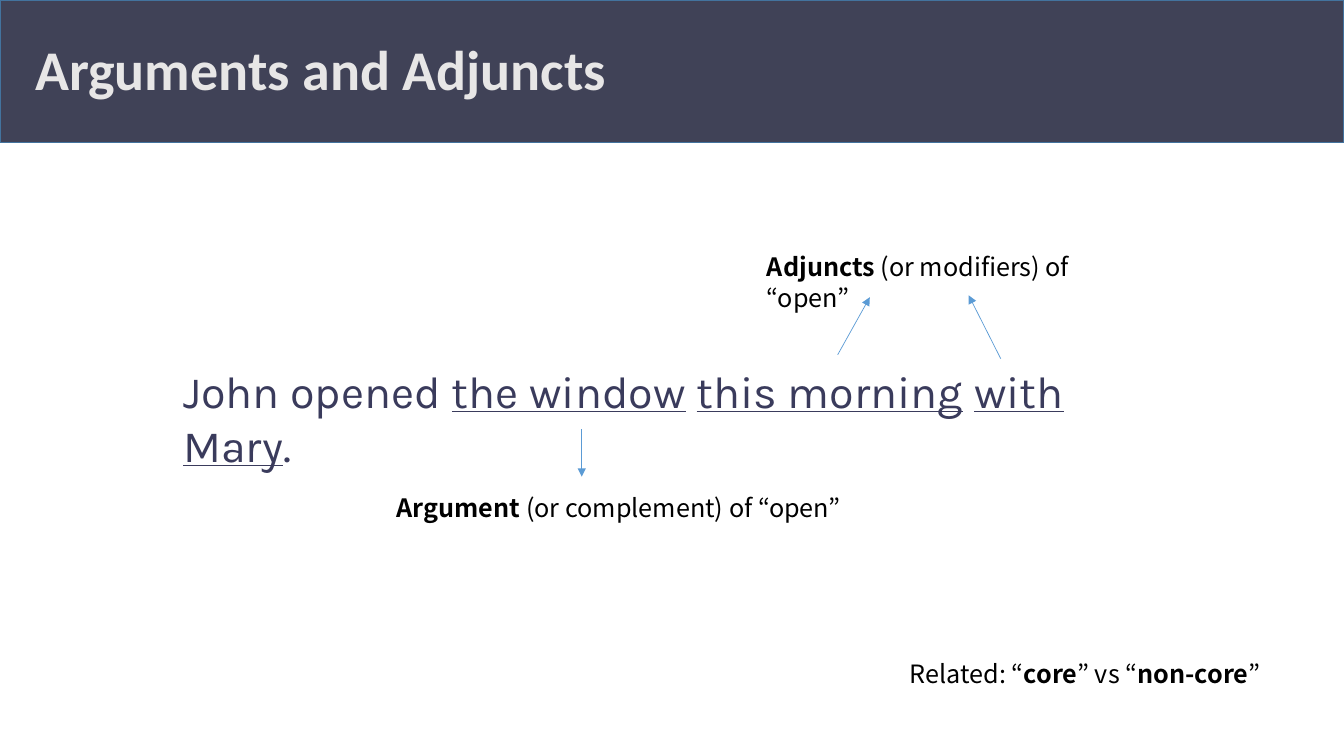
"""Build a slide on arguments and adjuncts of a verb."""
from lxml import etree
from pptx import Presentation, util as u
from pptx.dml import color
from pptx.enum import shapes, text
from pptx.oxml import ns


def rgb(value):
    return color.RGBColor.from_string(value)


prs = Presentation()
prs.slide_width, prs.slide_height = u.Cm(33.87), u.Cm(19.05)
s = prs.slides.add_slide(prs.slide_layouts[6])

banner = s.shapes.add_shape(shapes.MSO_SHAPE.RECTANGLE, 0, 0, prs.slide_width, u.Cm(3.6))
banner.shadow.inherit = False
banner.fill.solid()
banner.fill.fore_color.rgb = rgb("404257")
banner.line.color.rgb = rgb("43739E")
banner.line.width = u.Pt(1)

title = {"name": "Calibri", "size": u.Pt(40), "bold": True}
sentence = {"name": "Karla", "size": u.Pt(32)}
label = {"name": "Noto Sans CJK JP", "size": u.Pt(18)}
bold = {"bold": True}
underlined = {"underline": True}

boxes = [
    ((0.64, 0.74, 28.52, 1.96), title, "E7E6E6", [("Arguments and Adjuncts", {})]),
    ((4.37, 9.04, 24.84, 1.63), sentence, "3A3B5C", [
        ("John opened ", {}), ("the window", underlined), (" ", {}),
        ("this morning", underlined), (" ", {}), ("with Mary", underlined), (".", {})]),
    ((19.08, 6.22, 9.83, 1.02), label, "000000", [
        ("Adjuncts", bold), (" (or modifiers) of “open”", {})]),
    ((9.75, 12.29, 12.22, 1.02), label, "000000", [
        ("Argument", bold), (" (or complement) of “open”", {})]),
    ((22.68, 16.46, 10.31, 1.02), label, "000000", [
        ("Related: “", {}), ("core", bold), ("” vs “", {}), ("non-core", bold), ("”", {})]),
]
for place, style, ink, runs in boxes:
    tf = s.shapes.add_textbox(*map(u.Cm, place)).text_frame
    tf.word_wrap = True
    tf.auto_size = text.MSO_AUTO_SIZE.SHAPE_TO_FIT_TEXT
    p = tf.paragraphs[0]
    for words, emphasis in runs:
        r = p.add_run()
        r.text = words
        r.font.color.rgb = rgb(ink)
        for key, value in {**style, **emphasis}.items():
            setattr(r.font, key, value)

arrows = [
    (14.66, 10.82, 14.66, 12.01),
    (21.11, 8.94, 21.92, 7.49),
    (25.22, 9.04, 24.41, 7.44),
]
for ends in arrows:
    arrow = s.shapes.add_connector(shapes.MSO_CONNECTOR.STRAIGHT, *map(u.Cm, ends))
    arrow.line.color.rgb = rgb("5B9BD5")
    arrow.line.width = u.Pt(0.5)
    etree.SubElement(arrow.line._get_or_add_ln(), ns.qn("a:tailEnd"), type="triangle")
    etree.SubElement(arrow._element.spPr, ns.qn("a:effectLst"))

prs.save("out.pptx")
